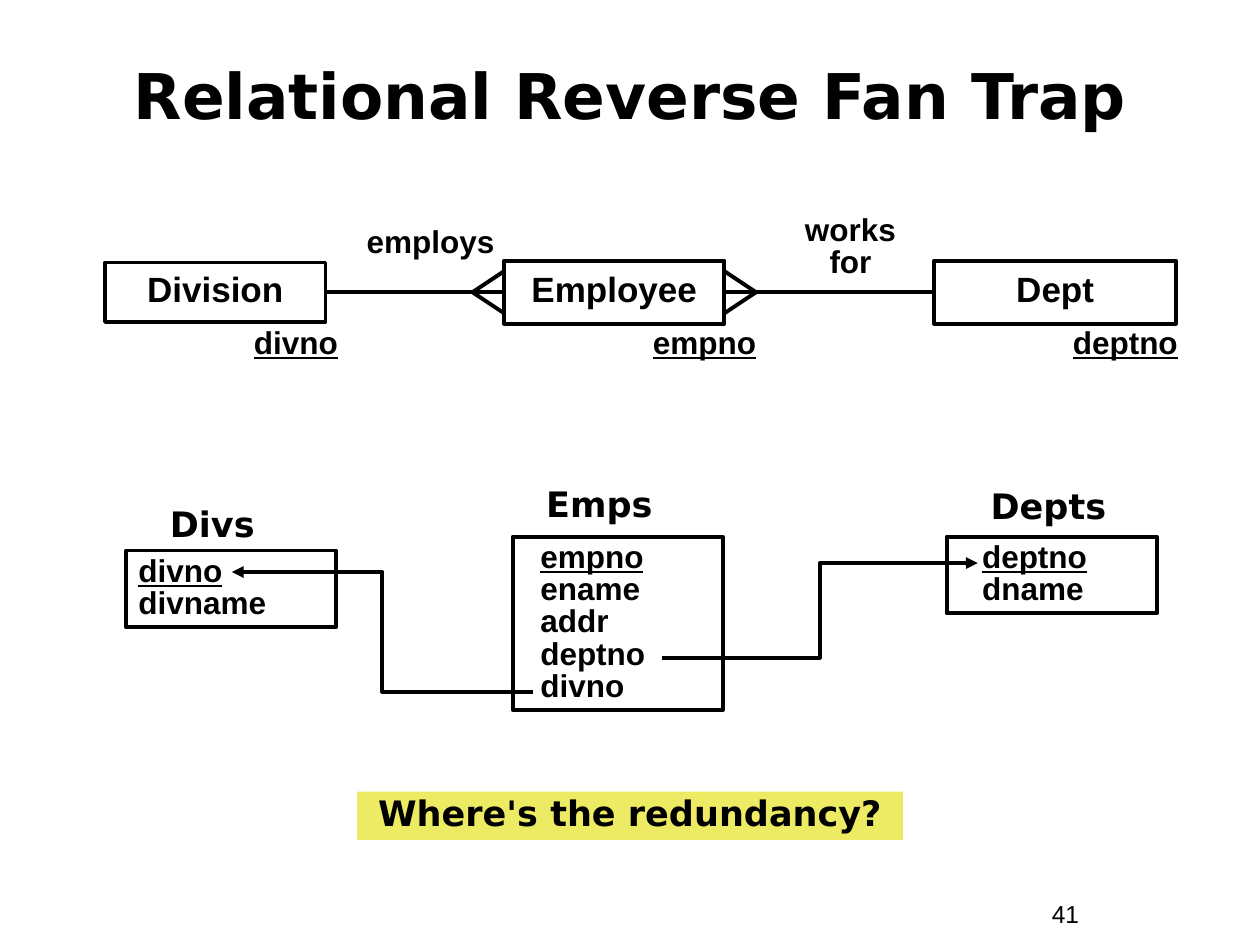
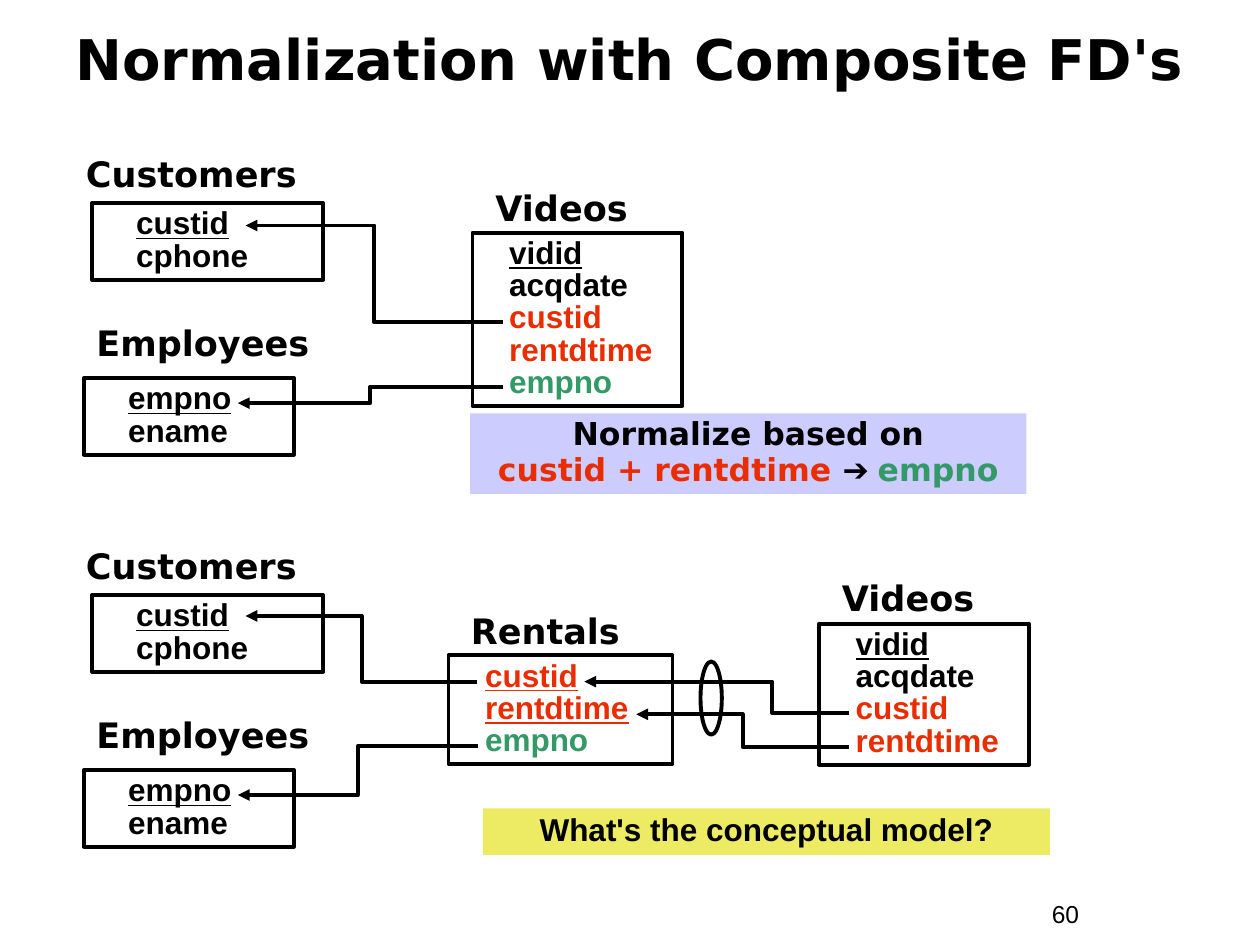
"""Builds two slides on relational fan traps and normalization with composite FDs."""
from lxml import etree
from pptx import Presentation
from pptx.dml.color import RGBColor
from pptx.enum.shapes import MSO_CONNECTOR as CONN, MSO_SHAPE as SHAPE
from pptx.enum.text import MSO_ANCHOR as ANCHOR, MSO_AUTO_SIZE as AUTO, PP_ALIGN as ALIGN
from pptx.oxml.ns import qn
from pptx.util import Pt

COLORS = {"black": "000000", "red": "EA2D00", "green": "339966",
          "yellow": "EDEA63", "lilac": "CCCCFF"}
BODY, HEAD = "Arial", "DejaVu Sans"
LINE_W = Pt(2.25)
LABEL_H = 31.7
ROW_H, BOX_PAD = 18.4, 7


def put(sp, lines, font=BODY, size=18, align=ALIGN.LEFT, spacing=0.85, anchor=ANCHOR.TOP,
        indent=0, before=0, bold=True, fill=None, line=None):
    """Format a shape and write its lines, each a list of (text, colour, underline, font) runs."""
    sp.shadow.inherit = False
    if fill:
        sp.fill.solid()
        sp.fill.fore_color.rgb = RGBColor.from_string(COLORS[fill])
    else:
        sp.fill.background()
    if line:
        sp.line.color.rgb = RGBColor.from_string(COLORS[line])
        sp.line.width = LINE_W
    else:
        sp.line.fill.background()
    tf = sp.text_frame
    tf.word_wrap = True
    tf.auto_size = AUTO.NONE
    tf.vertical_anchor = anchor
    tf.margin_left = Pt(7.2 + indent)
    tf.margin_right = Pt(7.2)
    tf.margin_top = tf.margin_bottom = Pt(3.6)
    for i, runs in enumerate(lines):
        p = tf.add_paragraph() if i else tf.paragraphs[0]
        p.alignment = align
        p.line_spacing = spacing
        p.space_before = Pt(before if i else 0)
        for text, color, underline, *other in runs:
            r = p.add_run()
            r.text = text
            r.font.name = other[0] if other else font
            r.font.size = Pt(size)
            r.font.bold = bold
            r.font.underline = underline
            r.font.color.rgb = RGBColor.from_string(COLORS[color])
    return sp


def link(s, kind, x1, y1, x2, y2, bend=0.5):
    """Draw a plain straight line, or an elbow that ends in an arrowhead."""
    c = s.shapes.add_connector(kind, Pt(x1), Pt(y1), Pt(x2), Pt(y2))
    c.line.color.rgb = RGBColor.from_string(COLORS["black"])
    c.line.width = LINE_W
    props = c._element.spPr
    etree.SubElement(props, qn("a:effectLst"))
    if kind == CONN.ELBOW:
        etree.SubElement(c.line._get_or_add_ln(), qn("a:tailEnd"), type="triangle")
        guides = props.find(qn("a:prstGeom")).find(qn("a:avLst"))
        etree.SubElement(guides, qn("a:gd"), name="adj1", fmla=f"val {round(bend * 100000)}")
    return c


prs = Presentation()
prs.slide_width, prs.slide_height = Pt(720), Pt(540)

pages = [
    ("Relational Reverse Fan Trap", 36, (24, 24, 672, 66), "41"),
    ("Normalization with Composite FD's", 32, (30, 6, 660, 60), "60"),
]
slides = []
for title, size, place, number in pages:
    s = prs.slides.add_slide(prs.slide_layouts[5])
    sp = s.shapes.title
    sp.left, sp.top, sp.width, sp.height = map(Pt, place)
    put(sp, [[(title, "black", False)]], HEAD, size, ALIGN.CENTER, anchor=ANCHOR.MIDDLE)
    sp = s.shapes.add_textbox(Pt(594), Pt(510), Pt(66), Pt(24.5))
    put(sp, [[(number, "black", False)]], size=14, spacing=1, bold=False)
    slides.append(s)
fan, norm = slides

entities = []
for name, x, y, w, h in [("Division", 60, 150, 126, 34), ("Employee", 288, 149, 126, 36),
                         ("Dept", 534, 149, 138, 36)]:
    sp = fan.shapes.add_shape(SHAPE.RECTANGLE, Pt(x), Pt(y), Pt(w), Pt(h))
    entities.append(put(sp, [[(name, "black", False)]], size=20, align=ALIGN.CENTER,
                        anchor=ANCHOR.MIDDLE, line="black"))
for left, right in zip(entities, entities[1:]):
    c = link(fan, CONN.STRAIGHT, 0, 0, 0, 0)
    c.begin_connect(left, 3)
    c.end_connect(right, 1)
for apex, side in [(270, 288), (432, 414)]:
    for toe in (155, 179):
        link(fan, CONN.STRAIGHT, apex, 167, side, toe)

for words, x, y, h in [(["employs"], 186, 126.7, 26), (["works", "for"], 426, 120, 44)]:
    sp = fan.shapes.add_textbox(Pt(x), Pt(y), Pt(120), Pt(h))
    put(sp, [[(word, "black", False)] for word in words], align=ALIGN.CENTER)
for key, x in [("divno", 138), ("empno", 366), ("deptno", 606)]:
    sp = fan.shapes.add_textbox(Pt(x), Pt(183.6), Pt(84), Pt(26.6))
    put(sp, [[(key, "black", True)]], spacing=0.9)

customers = [("custid", "black", True), ("cphone", "black", False)]
employees = [("empno", "black", True), ("ename", "black", False)]
videos = [("vidid", "black", True), ("acqdate", "black", False),
          ("custid", "red", False), ("rentdtime", "red", False)]
empno = ("empno", "green", False)
rentals = [("custid", "red", True), ("rentdtime", "red", True), empno]
emps = [("empno", "black", True)] + [
    (field, "black", False) for field in ("ename", "addr", "deptno", "divno")]
depts = [("deptno", "black", True), ("dname", "black", False)]
divs = [("divno", "black", True), ("divname", "black", False)]

tables = [
    (fan, "Emps", (305, 272, 78), (293, 306.7, 120), 8.6, emps),
    (fan, "Depts", (559, 273.6, 89), (541, 306.7, 120), 13, depts),
    (fan, "Divs", (90, 283.7, 78), (72, 314.6, 120), 0, divs),
    (norm, "Videos", (276, 103, 101), (270, 133, 120), 13.7, videos + [empno]),
    (norm, "Rentals", (262, 345, 101), (256.3, 374.4, 128), 13.7, rentals),
    (norm, "Videos", (474, 326, 101), (468, 356.4, 120), 13.7, videos),
]
for dy in (0, 224):
    tables += [
        (norm, "Customers", (42, 83.5 + dy, 155), (52.6, 116 + dy, 132), 18, customers),
        (norm, "Employees", (48, 180 + dy, 155), (48, 216 + dy, 120), 18, employees),
    ]
for s, name, (lx, ly, lw), (x, y, w), indent, fields in tables:
    sp = s.shapes.add_textbox(Pt(lx), Pt(ly), Pt(lw), Pt(LABEL_H))
    put(sp, [[(name, "black", False)]], HEAD, 20, spacing=1)
    h = BOX_PAD + ROW_H * len(fields)
    sp = s.shapes.add_shape(SHAPE.RECTANGLE, Pt(x), Pt(y), Pt(w), Pt(h))
    put(sp, [[field] for field in fields], indent=indent, line="black")

for s, x1, y1, x2, y2, bend in [
    (fan, 378, 375.8, 558.7, 321.8, 0.5),
    (fan, 304.6, 395.3, 132.5, 326.9, 0.5),
    (norm, 287.3, 184.3, 140.4, 128.9, 0.5),
    (norm, 287.3, 221, 136, 230.4, 0.5),
    (norm, 272.9, 389.5, 140.4, 352, 0.5),
    (norm, 272.9, 426.2, 136, 454.3, 0.5),
    (norm, 485.3, 407.5, 334, 389.5, 0.29),
    (norm, 485.3, 427, 363.6, 408.2, 0.5),
]:
    link(s, CONN.ELBOW, x1, y1, x2, y2, bend)

rule = [[("Normalize based on", "black", False)],
        [("custid + rentdtime ", "red", False), ("➔ ", "black", False, BODY), empno]]
for s, lines, (x, y, w, h), font, size, spacing, fill in [
    (fan, [[("Where's the redundancy?", "black", False)]],
     (204, 452.4, 312, 27.6), HEAD, 20, 0.85, "yellow"),
    (norm, rule, (268.6, 236.2, 318, 46), HEAD, 18, 0.85, "lilac"),
    (norm, [[("What's the conceptual model?", "black", False)]],
     (276, 462, 324, 26.6), BODY, 18, 0.9, "yellow"),
]:
    sp = s.shapes.add_shape(SHAPE.RECTANGLE, Pt(x), Pt(y), Pt(w), Pt(h))
    put(sp, lines, font, size, ALIGN.CENTER, spacing, before=2.2, fill=fill)

sp = norm.shapes.add_shape(SHAPE.OVAL, Pt(400.3), Pt(378), Pt(12.2), Pt(41.8))
put(sp, [], line="black")

prs.save("out.pptx")
